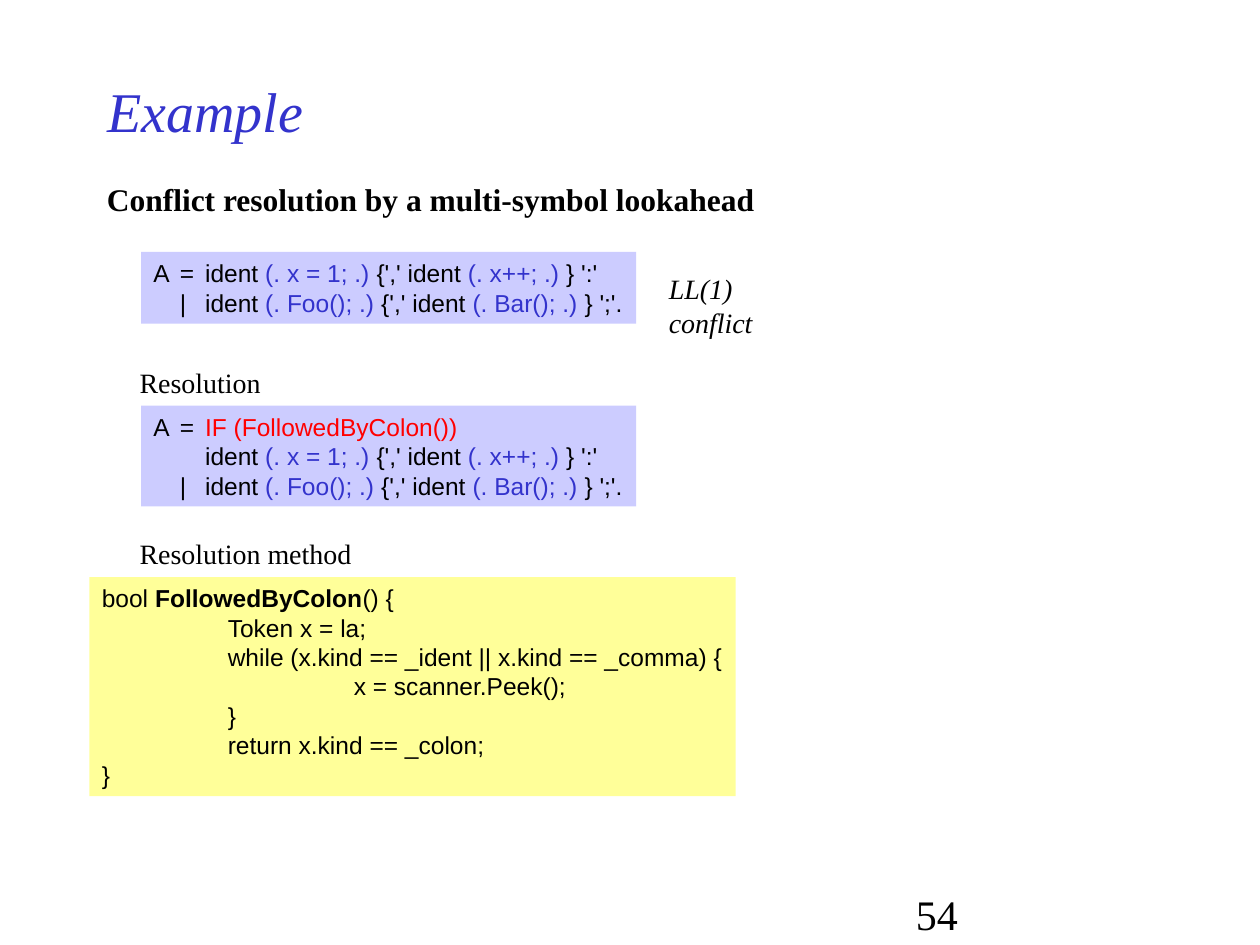
import pptx
import pptx.dml.color
import pptx.enum.shapes
import pptx.enum.text
import pptx.oxml.ns
import pptx.util
from lxml import etree
from pptx.util import Inches

COLORS = {"black": "000000", "blue": "3333CC", "red": "FF0000",
          "grammar": "CCCCFF", "code": "FFFF99"}
SERIF, SANS = "Times New Roman", "Arial"
GRAMMAR_TABS = (0.21, 0.41)
CODE_TABS = (1, 2)


def rgb(name):
    return pptx.dml.color.RGBColor.from_string(COLORS[name])


def style_run(r, font, size, color="black", bold=False, italic=False):
    r.font.name = font
    r.font.size = pptx.util.Pt(size)
    r.font.color.rgb = rgb(color)
    r.font.bold = bold
    r.font.italic = italic


def set_frame(tf, anchor=pptx.enum.text.MSO_ANCHOR.TOP, wrap=False):
    tf.word_wrap = wrap
    tf.vertical_anchor = anchor
    tf.margin_left = tf.margin_right = Inches(0.1)
    tf.margin_top = tf.margin_bottom = Inches(0.05)


def add_tabs(p, stops):
    pPr = p._p.get_or_add_pPr()
    tab_list = etree.SubElement(pPr, pptx.oxml.ns.qn("a:tabLst"))
    for stop in stops:
        etree.SubElement(tab_list, pptx.oxml.ns.qn("a:tab"),
                         pos=str(Inches(stop)), algn="l")


def set_title(s, text):
    sp = s.shapes.title
    sp.left, sp.top = Inches(0.75), Inches(0.5)
    sp.width, sp.height = Inches(7.5), Inches(0.75)
    tf = sp.text_frame
    tf.text = text
    set_frame(tf, pptx.enum.text.MSO_ANCHOR.MIDDLE, wrap=True)
    p = tf.paragraphs[0]
    p.alignment = pptx.enum.text.PP_ALIGN.LEFT
    style_run(p.runs[0], SERIF, 32, "blue", italic=True)


def add_label(s, text, x, y, w, h, size=16, bold=False, italic=False):
    sp = s.shapes.add_textbox(Inches(x), Inches(y), Inches(w), Inches(h))
    tf = sp.text_frame
    tf.text = text
    set_frame(tf)
    style_run(tf.paragraphs[0].runs[0], SERIF, size, bold=bold, italic=italic)


def add_listing(s, lines, x, y, w, h, fill, tabs):
    """Filled box; each line is a list of (text, run style) pairs."""
    sp = s.shapes.add_shape(pptx.enum.shapes.MSO_SHAPE.RECTANGLE,
                            Inches(x), Inches(y), Inches(w), Inches(h))
    sp.shadow.inherit = False
    sp.fill.solid()
    sp.fill.fore_color.rgb = rgb(fill)
    sp.line.fill.background()
    tf = sp.text_frame
    set_frame(tf)
    for i, line in enumerate(lines):
        p = tf.add_paragraph() if i else tf.paragraphs[0]
        p.alignment = pptx.enum.text.PP_ALIGN.LEFT
        add_tabs(p, tabs)
        for text, style in line:
            r = p.add_run()
            r.text = text
            style_run(r, SANS, 14, **style)


def production(lead, first, repeated, end):
    """One grammar alternative with its semantic actions in blue."""
    action = {"color": "blue"}
    return [(f"{lead}\tident ", {}), (first, action), (" {',' ident ", {}),
            (repeated, action), (f" }} '{end}", {})]


def main():
    prs = pptx.Presentation()
    prs.slide_width, prs.slide_height = Inches(10), Inches(7.5)
    s = prs.slides.add_slide(prs.slide_layouts[5])

    # Headings
    set_title(s, "Example")
    add_label(s, "Conflict resolution by a multi-symbol lookahead",
              0.75, 1.38, 5.34, 0.4, size=18, bold=True)

    # Conflicting grammar
    colon_actions = ("(. x = 1; .)", "(. x++; .)", ":'")
    second = production("\t|", "(. Foo(); .)", "(. Bar(); .)", ";'.")
    add_listing(s, [production("A\t=", *colon_actions), second],
                1.12, 2, 3.93, 0.57, "grammar", GRAMMAR_TABS)
    add_label(s, "LL(1) conflict", 5.21, 2.11, 1.42, 0.37, italic=True)

    # Grammar with the resolver
    add_label(s, "Resolution", 1.01, 2.85, 1.16, 0.37)
    resolver = [("A\t=\t", {}), ("IF (FollowedByColon())", {"color": "red"})]
    add_listing(s, [resolver, production("\t", *colon_actions), second],
                1.12, 3.22, 3.93, 0.8, "grammar", GRAMMAR_TABS)

    # Resolver code
    add_label(s, "Resolution method", 1.01, 4.21, 1.88, 0.37)
    signature = [("bool ", {}), ("FollowedByColon", {"bold": True}), ("() {", {})]
    body = ["\tToken x = la;",
            "\twhile (x.kind == _ident || x.kind == _comma) {",
            "\t\tx = scanner.Peek();",
            "\t}",
            "\treturn x.kind == _colon;",
            "}"]
    add_listing(s, [signature] + [[(line, {})] for line in body],
                0.71, 4.58, 5.13, 1.74, "code", CODE_TABS)

    # Page number
    add_label(s, "54", 7.17, 7, 2.08, 0.33, size=24)

    # Left-aligned text needs a wrapping frame where the box is wider
    s.shapes[-1].text_frame.word_wrap = True

    prs.save("out.pptx")


if __name__ == "__main__":
    main()
